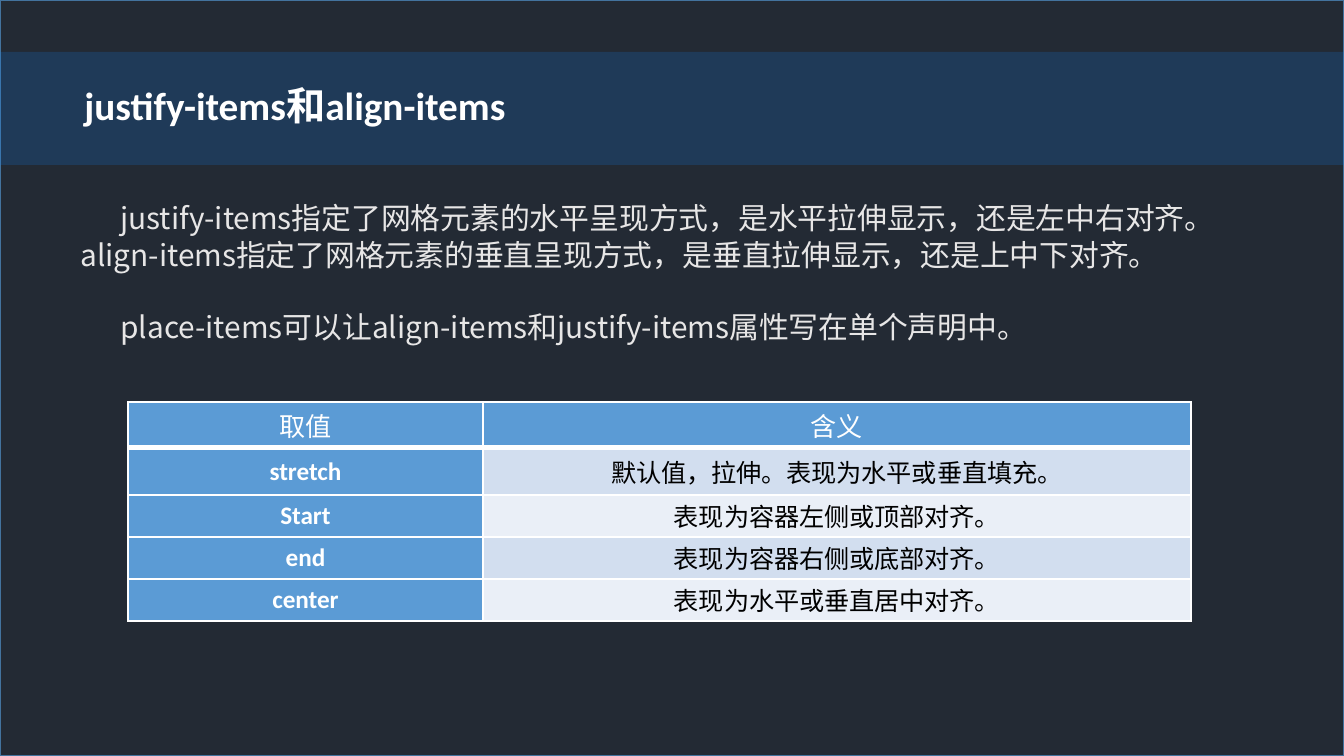
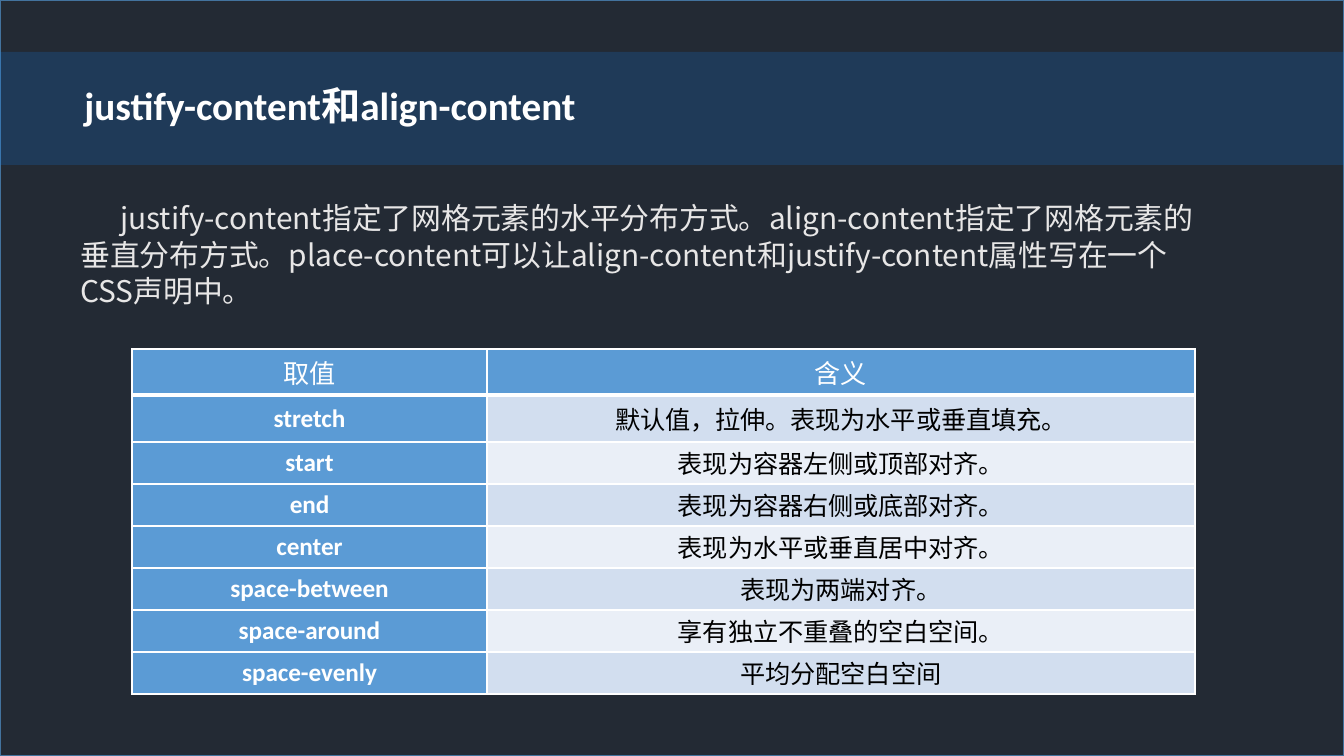
from pptx import Presentation
from pptx.dml.color import RGBColor
from pptx.enum.shapes import MSO_SHAPE
from pptx.enum.text import MSO_ANCHOR, MSO_AUTO_SIZE, PP_ALIGN
from pptx.oxml.ns import qn
from pptx.util import Pt
from lxml.etree import SubElement

WIDE, HIGH = 1344, 756
DARK, EDGE, BAND = "232A34", "43739E", "137EEC"
WHITE, BLACK, PALE = "FFFFFF", "000000", "E7E6E6"
BLUE, TINTS = "5B9BD5", ("D2DEEF", "EAEFF7")
SANS, NOTO = "Calibri", "Noto Sans CJK SC"
COLS = (355, 708)
LINE = 19.4  # body line pitch in points

HEAD = ("取值", "含义")
BASE = [
    ("end", "表现为容器右侧或底部对齐。"),
    ("center", "表现为水平或垂直居中对齐。"),
]
FILL = ("stretch", "默认值，拉伸。表现为水平或垂直填充。")
SIDE = "表现为容器左侧或顶部对齐。"

PAGES = [
    dict(
        title="justify-items和align-items",
        body=[
            "justify-items指定了网格元素的水平呈现方式，是水平拉伸显示，还是左中右对齐。"
            "align-items指定了网格元素的垂直呈现方式，是垂直拉伸显示，还是上中下对齐。",
            "place-items可以让align-items和justify-items属性写在单个声明中。",
        ],
        spot=(128, 402),
        rows=[HEAD, FILL, ("Start", SIDE), *BASE],
    ),
    dict(
        title="justify-content和align-content",
        body=[
            "justify-content指定了网格元素的水平分布方式。"
            "align-content指定了网格元素的垂直分布方式。"
            "place-content可以让align-content和justify-content属性写在一个CSS声明中。",
        ],
        spot=(132, 349),
        rows=[
            HEAD, FILL, ("start", SIDE), *BASE,
            ("space-between", "表现为两端对齐。"),
            ("space-around", "享有独立不重叠的空白空间。"),
            ("space-evenly", "平均分配空白空间"),
        ],
    ),
]


def px(n):
    return round(n * 914400 / 134.4)


def tone(code):
    return RGBColor.from_string(code)


def place(shape, box):
    shape.left, shape.top, shape.width, shape.height = map(px, box)


def write(para, text, size, color, font=SANS, bold=False, align=PP_ALIGN.LEFT):
    para.alignment = align
    run = para.add_run()
    run.text = text
    run.font.size, run.font.bold, run.font.name = Pt(size), bold, font
    run.font.color.rgb = tone(color)
    if font == NOTO:
        SubElement(run.font._element, qn("a:ea"), typeface=font)


def block(slide, box, color, line=None, alpha=None):
    shape = slide.shapes.add_shape(MSO_SHAPE.RECTANGLE, *map(px, box))
    shape.shadow.inherit = False
    shape.fill.solid()
    shape.fill.fore_color.rgb = tone(color)
    if line:
        shape.line.color.rgb = tone(line)
        shape.line.width = Pt(1)
    else:
        shape.line.fill.background()
    if alpha:
        fill = shape._element.spPr.find(qn("a:solidFill"))
        SubElement(fill[0], qn("a:alpha"), val=str(alpha * 1000))
    return shape


def frame(shape, box):
    place(shape, box)
    text = shape.text_frame
    text.word_wrap = True
    text.auto_size = MSO_AUTO_SIZE.NONE
    text.vertical_anchor = MSO_ANCHOR.TOP
    return text


def back(slide):
    # Backdrop and title band go behind the placeholders
    parts = [
        block(slide, (0, 0, WIDE, HIGH), DARK, line=EDGE),
        block(slide, (0, 52, WIDE, 113), BAND, alpha=20),
    ]
    for i, part in enumerate(parts):
        slide.shapes._spTree.insert(2 + i, part._element)


def title(slide, box, text):
    para = frame(slide.shapes.title, box).paragraphs[0]
    write(para, text, 21, WHITE, bold=True)


def body(slide, box, texts):
    area = frame(slide.placeholders[1], box)
    for i, text in enumerate(texts):
        para = area.add_paragraph() if i else area.paragraphs[0]
        para.line_spacing = Pt(LINE)
        para.space_before = Pt(LINE if i else 0)
        write(para, text, 16, PALE, font=NOTO)
        # First-line indent without a bullet
        props = para._p.get_or_add_pPr()
        props.set("marL", "0")
        props.set("indent", str(px(40)))
        SubElement(props, qn("a:buNone"))


def border(cell, low):
    props = cell._tc.get_or_add_tcPr()
    for i, side in enumerate(("lnL", "lnR", "lnT", "lnB")):
        width = low if side == "lnB" else 1
        line = props.makeelement(qn("a:" + side), {"w": str(Pt(width))})
        fill = SubElement(line, qn("a:solidFill"))
        SubElement(fill, qn("a:srgbClr"), val=WHITE)
        props.insert(i, line)


def grid(slide, spot, rows):
    highs = [46, 47] + [42] * (len(rows) - 2)
    box = (*spot, sum(COLS), sum(highs))
    table = slide.shapes.add_table(len(rows), len(COLS), *map(px, box)).table
    for col, width in zip(table.columns, COLS):
        col.width = px(width)
    for r, row in enumerate(rows):
        table.rows[r].height = px(highs[r])
        for c, text in enumerate(row):
            cell = table.cell(r, c)
            key = r == 0 or c == 0
            cell.margin_left = cell.margin_right = px(16)
            cell.margin_top = cell.margin_bottom = 0
            cell.vertical_anchor = MSO_ANCHOR.MIDDLE
            cell.fill.solid()
            cell.fill.fore_color.rgb = tone(BLUE if key else TINTS[(r - 1) % 2])
            border(cell, 1 if r else 3)
            write(cell.text_frame.paragraphs[0], text, 13.5 if r else 14,
                  WHITE if key else BLACK, bold=r > 0 and c == 0,
                  align=PP_ALIGN.CENTER)


def main():
    deck = Presentation()
    deck.slide_width, deck.slide_height = px(WIDE), px(HIGH)
    for page in PAGES:
        slide = deck.slides.add_slide(deck.slide_layouts[1])
        back(slide)
        body(slide, (67, 193, 1152, 195), page["body"])
        title(slide, (71, 75, 1236, 60), page["title"])
        grid(slide, page["spot"], page["rows"])
    deck.save("out.pptx")


if __name__ == "__main__":
    main()
